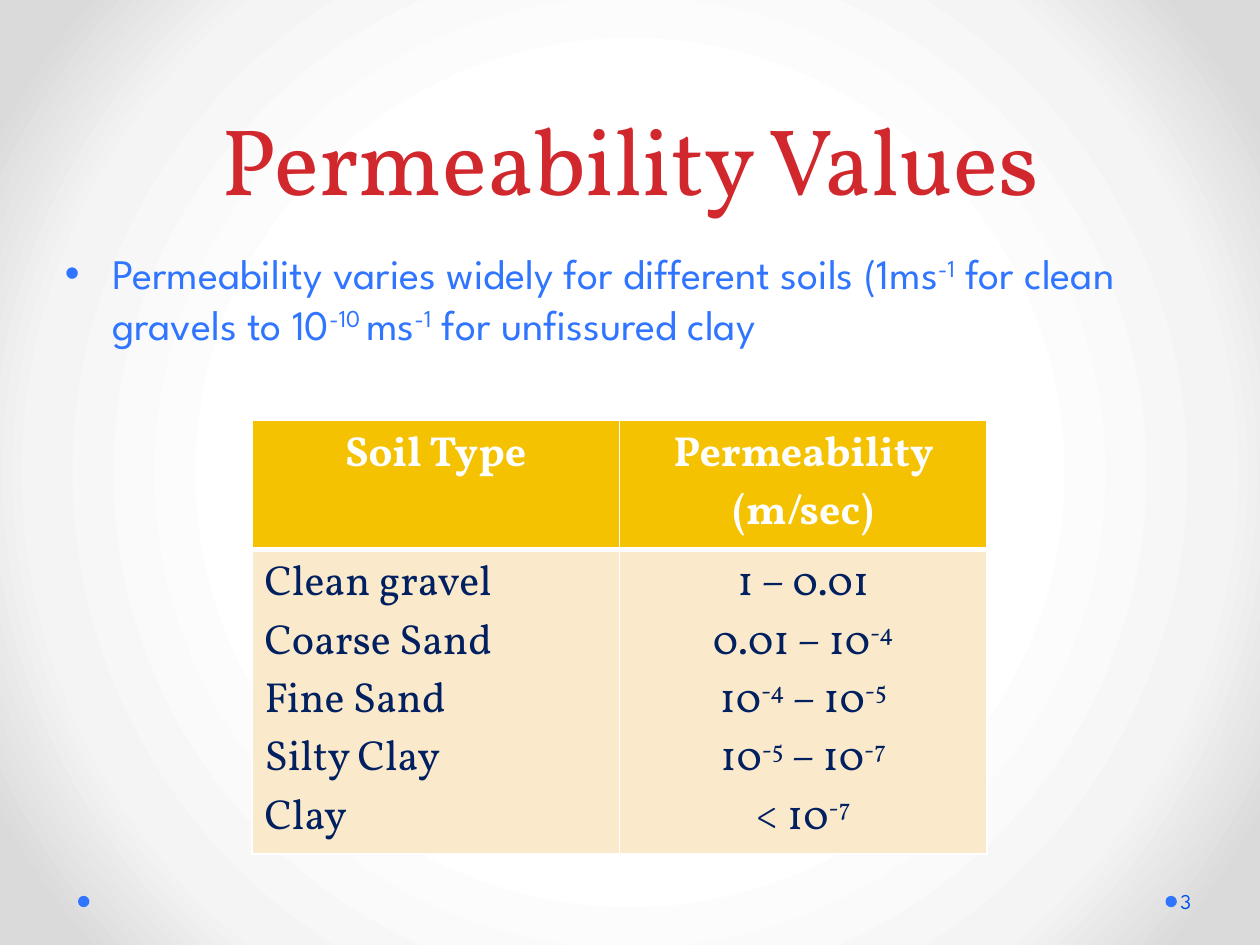
"""Build the slide on permeability values of soils."""
from pptx import Presentation
from pptx.dml.color import RGBColor as RGB
from pptx.enum.shapes import MSO_SHAPE as Kind
from pptx.enum.text import MSO_ANCHOR as Anchor, MSO_AUTO_SIZE as Auto, PP_ALIGN as Align
from pptx.oxml import parse_xml as xml
from pptx.oxml.ns import nsdecls, qn
from pptx.util import Pt

HUES = {"red": "D1282E", "blue": "3075FF", "deep": "0050F1", "gold": "F5C201",
        "sand": "FBE9CC", "navy": "002060", "white": "FFFFFF"}
FADE = [(50, "FFFFFF"), (76, "F4F4F4"), (92, "DADADA")]
SERIF, SANS = "Vollkorn", "League Spartan"
HEAD = {"name": SERIF, "size": Pt(24), "bold": True}
BODY = {**HEAD, "bold": False}
SOILS = ["Clean gravel", "Coarse Sand", "Fine Sand", "Silty Clay", "Clay"]
RATES = ["1 – 0.01", "0.01 – 10^-4", "10^-4^ – 10^-5", "10^-5^ – 10^-7", "< 10^-7"]
FACT = ("Permeability varies widely for different soils (1ms^-1^ for clean "
        "gravels to 10^-10 ^ms^-1^ for unfissured clay")


class Deck:
    """Hold the style and the current slide."""

    def __init__(self):
        self.show = Presentation()
        self.show.slide_width, self.show.slide_height = Pt(720), Pt(540)
        self.slide = self.show.slides.add_slide(self.show.slide_layouts[5])

    def back(self, stops):
        """Fill the background with a round fade."""
        self.slide.background.fill.gradient()
        grad = self.slide._element.find(".//" + qn("a:gradFill"))
        for part in list(grad):
            grad.remove(part)
        marks = "".join(f'<a:gs pos="{pos * 1000}"><a:srgbClr val="{hue}"/></a:gs>'
                        for pos, hue in stops)
        grad.append(xml(f'<a:gsLst {nsdecls("a")}>{marks}</a:gsLst>'))
        grad.append(xml(f'<a:path {nsdecls("a")} path="circle"><a:fillToRect '
                        'l="50000" t="50000" r="50000" b="50000"/></a:path>'))

    def lines(self, frame, lines, style, hue, align=Align.LEFT):
        """Set lines of text, raising each part between carets."""
        for num, line in enumerate(lines):
            para = frame.add_paragraph() if num else frame.paragraphs[0]
            para.alignment = align
            for odd, part in enumerate(line.split("^")):
                if not part:
                    continue
                run = para.add_run()
                run.text = part
                for key, val in style.items():
                    setattr(run.font, key, val)
                run.font.color.rgb = RGB.from_string(HUES[hue])
                if odd % 2:
                    run._r.get_or_add_rPr().set("baseline", "30000")

    def title(self, text, box, style, hue):
        """Place and format the title."""
        head = self.slide.shapes.title
        head.left, head.top, head.width, head.height = map(Pt, box)
        frame = head.text_frame
        frame.auto_size, frame.vertical_anchor = Auto.NONE, Anchor.BOTTOM
        self.lines(frame, [text], style, hue, Align.CENTER)
        frame.paragraphs[0].line_spacing = Pt(58)

    def text(self, text, box, style, hue, **form):
        """Add a wrapped text box."""
        frame = self.slide.shapes.add_textbox(*map(Pt, box)).text_frame
        for key, val in {"word_wrap": True, **form}.items():
            setattr(frame, key, val)
        self.lines(frame, [text], style, hue)
        return frame.paragraphs[0]

    def bullet(self, text, box, style, hue):
        """Add a bulleted text box."""
        props = self.text(text, box, style, hue)._p.get_or_add_pPr()
        props.set("marL", str(Pt(27)))
        props.set("indent", str(Pt(-27)))
        props.append(xml(f'<a:buFont {nsdecls("a")} typeface="Arial"/>'))
        props.append(xml(f'<a:buChar {nsdecls("a")} char="•"/>'))

    def dot(self, left, top, size, hue):
        """Add a plain round dot."""
        dot = self.slide.shapes.add_shape(Kind.OVAL, *map(Pt, (left, top, size, size)))
        dot.shadow.inherit = False
        dot.fill.solid()
        dot.fill.fore_color.rgb = RGB.from_string(HUES[hue])
        dot.line.fill.background()

    def cell(self, cell, lines, style, hue, fill, align, edges):
        """Fill, border and letter one cell."""
        cell.fill.solid()
        cell.fill.fore_color.rgb = RGB.from_string(HUES[fill])
        props = cell._tc.get_or_add_tcPr()
        for num, (side, wide) in enumerate(zip("LRTB", edges)):
            props.insert(num, xml(
                f'<a:ln{side} {nsdecls("a")} w="{Pt(wide)}"><a:solidFill>'
                f'<a:srgbClr val="{HUES["white"]}"/></a:solidFill></a:ln{side}>'))
        self.lines(cell.text_frame, lines, style, hue, align)

    def table(self, heads, cols, box, highs):
        """Add a table with a header and one tall row."""
        grid = self.slide.shapes.add_table(2, len(cols), *map(Pt, box)).table
        for row, high in zip(grid.rows, highs):
            row.height = Pt(high)
        for num, (head, col) in enumerate(zip(heads, cols)):
            align = Align.CENTER if num else Align.LEFT
            self.cell(grid.cell(0, num), [head], HEAD, "white", "gold",
                      Align.CENTER, (1, 1, 1, 3))
            self.cell(grid.cell(1, num), col, BODY, "navy", "sand", align, (1, 1, 3, 1))


def main():
    """Build and save the slide."""
    deck = Deck()
    deck.back(FADE)
    for left in (666, 44.6):
        deck.dot(left, 511.9, 6.5, "blue")
    deck.title("Permeability Values", (36, 0, 648, 126),
               {"name": SERIF, "size": Pt(54)}, "red")
    deck.table(["Soil Type", "Permeability (m/sec)"], [SOILS, RATES],
               (144, 240, 420, 201.6), (61.2, 140.4))
    deck.text("3", (672.5, 500.4, 44, 28.8), {"name": SANS, "size": Pt(12)}, "deep",
              vertical_anchor=Anchor.MIDDLE, margin_left=Pt(2), margin_right=Pt(3.6))
    deck.bullet(FACT, (30, 138, 649.4, 90), {"name": SANS, "size": Pt(24)}, "blue")
    deck.show.save("out.pptx")


if __name__ == "__main__":
    main()
